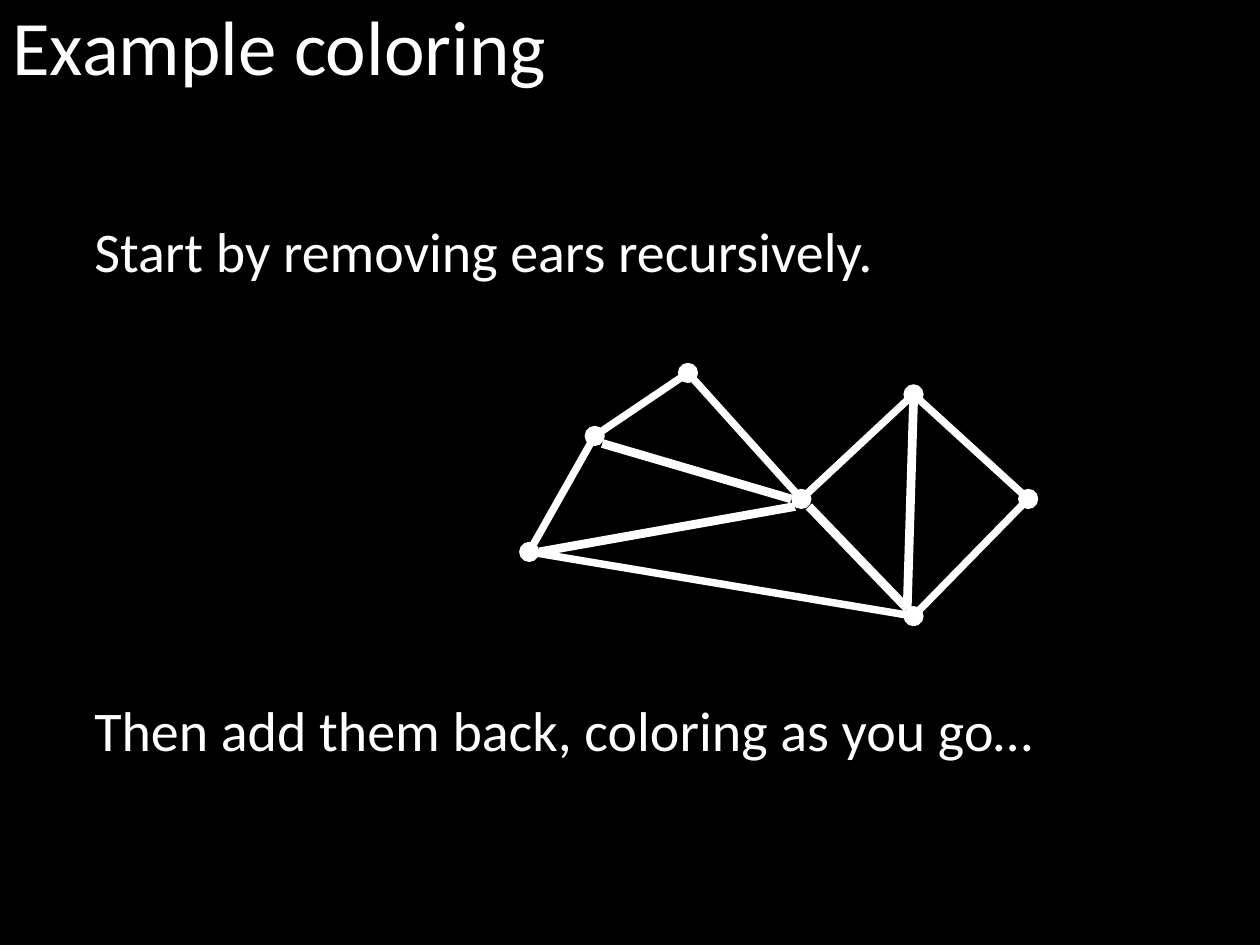
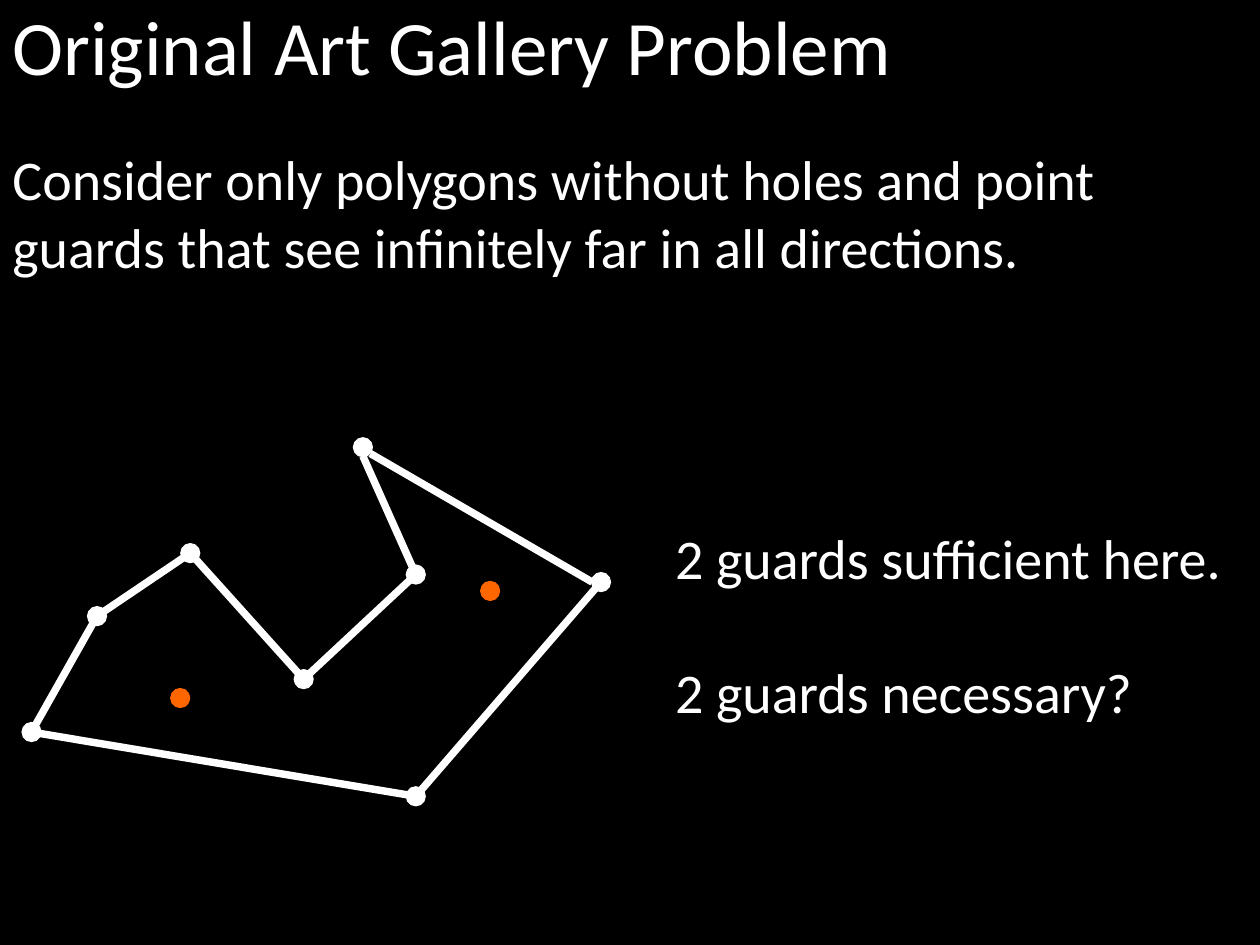
from itertools import pairwise

from pptx import Presentation
from pptx.dml.color import RGBColor
from pptx.enum.shapes import MSO_CONNECTOR, MSO_SHAPE
from pptx.oxml.ns import qn
from pptx.util import Inches, Pt
from lxml.etree import SubElement

BLACK = RGBColor(0x00, 0x00, 0x00)
WHITE = RGBColor(0xFF, 0xFF, 0xFF)
ORANGE = RGBColor(0xFF, 0x66, 0x00)
FONT = "Calibri"
DOT = 0.15
HANG = 0.81
WALL = 4.25
DIAGONAL = 5

# Corners that both polygons share, relative to the polygon's origin
BOTTOM, WEST, LEFT = (3.05, 1.93), (0, 1.42), (0.52, 0.5)
PEAK, NOTCH, RIGHT = (1.26, 0), (2.16, 1), (3.05, 0.17)
SHARED = [BOTTOM, WEST, LEFT, PEAK, NOTCH, RIGHT]


def add_text(slide, text, box, size=32, hang=0):
    """Write each line of text as a paragraph, with a hanging indent."""
    frame = slide.shapes.add_textbox(*map(Inches, box)).text_frame
    frame.word_wrap = True
    frame.text = text
    for para in frame.paragraphs:
        if hang:
            props = para._p.get_or_add_pPr()
            props.set("marL", str(Inches(hang)))
            props.set("indent", str(-Inches(hang)))
        para.font.name = FONT
        para.font.size = Pt(size)
        para.font.color.rgb = WHITE


def add_line(group, origin, start, end, width):
    ends = [Inches(base + step) for point in (start, end)
            for base, step in zip(origin, point)]
    line = group.shapes.add_connector(MSO_CONNECTOR.STRAIGHT, *ends)
    line.line.color.rgb = WHITE
    line.line.width = Pt(width)
    SubElement(line._element.spPr, qn("a:effectLst"))


def add_dot(group, origin, point, color):
    left, top = (Inches(base + step - DOT / 2)
                 for base, step in zip(origin, point))
    dot = group.shapes.add_shape(MSO_SHAPE.OVAL, left, top,
                                 Inches(DOT), Inches(DOT))
    dot.shadow.inherit = False
    dot.fill.solid()
    dot.fill.fore_color.rgb = color
    dot.line.color.rgb = color
    dot.line.width = Pt(0.75)


def draw_graph(slide, origin, walls, extra, width, corners, guards=()):
    """Draw a path of walls, extra lines, and dots on corners and guards."""
    group = slide.shapes.add_group_shape()
    for start, end in extra:
        add_line(group, origin, start, end, width)
    for start, end in pairwise(walls):
        add_line(group, origin, start, end, WALL)
    for point in corners:
        add_dot(group, origin, point, WHITE)
    for point in guards:
        add_dot(group, origin, point, ORANGE)


def add_slide(deck, title):
    slide = deck.slides.add_slide(deck.slide_layouts[6])
    slide.background.fill.solid()
    slide.background.fill.fore_color.rgb = BLACK
    add_text(slide, title, (0, -0.06, 9.31, 0.84), size=44)
    return slide


def build_coloring(deck):
    slide = add_slide(deck, "Example coloring")
    east = (3.96, 1)
    diagonals = [
        ((0.58, 0.56), (2.08, 1)),
        ((0.08, 1.42), (2.11, 1.06)),
        ((3, 1.87), (3.05, 0.23)),
        ((3, 1.87), (2.22, 1.06)),
    ]
    draw_graph(slide, (4.2, 2.96), [east, *SHARED, east], diagonals,
               DIAGONAL, [*SHARED, east])
    add_text(slide, "Start by removing ears recursively.",
             (0.65, 1.67, 6.61, 0.64), hang=HANG)
    add_text(slide, "Then add them back, coloring as you go…",
             (0.65, 5.47, 8.5, 0.64), hang=HANG)


def build_gallery(deck):
    slide = add_slide(deck, "Original Art Gallery Problem")
    add_text(slide, "Consider only polygons without holes and point\n"
             "guards that see infinitely far in all directions.",
             (0, 1.1, 9.31, 1.18), hang=HANG)
    tip, east = (2.63, -0.84), (4.52, 0.23)
    spike = [(RIGHT, (2.63, -0.77)), ((2.69, -0.79), (4.45, 0.23))]
    draw_graph(slide, (0.25, 4.39), [east, *SHARED], spike, WALL,
               [*SHARED, tip, east], guards=[(3.64, 0.3), (1.18, 1.15)])
    for row, text in enumerate(["2 guards sufficient here.",
                                "2 guards necessary?"]):
        add_text(slide, text, (5.26, 4.11 + row * 1.06, 4.74, 0.64),
                 hang=HANG)


def main():
    deck = Presentation()
    deck.slide_width, deck.slide_height = Inches(10), Inches(7.5)
    build_coloring(deck)
    build_gallery(deck)
    deck.save("out.pptx")


if __name__ == "__main__":
    main()
